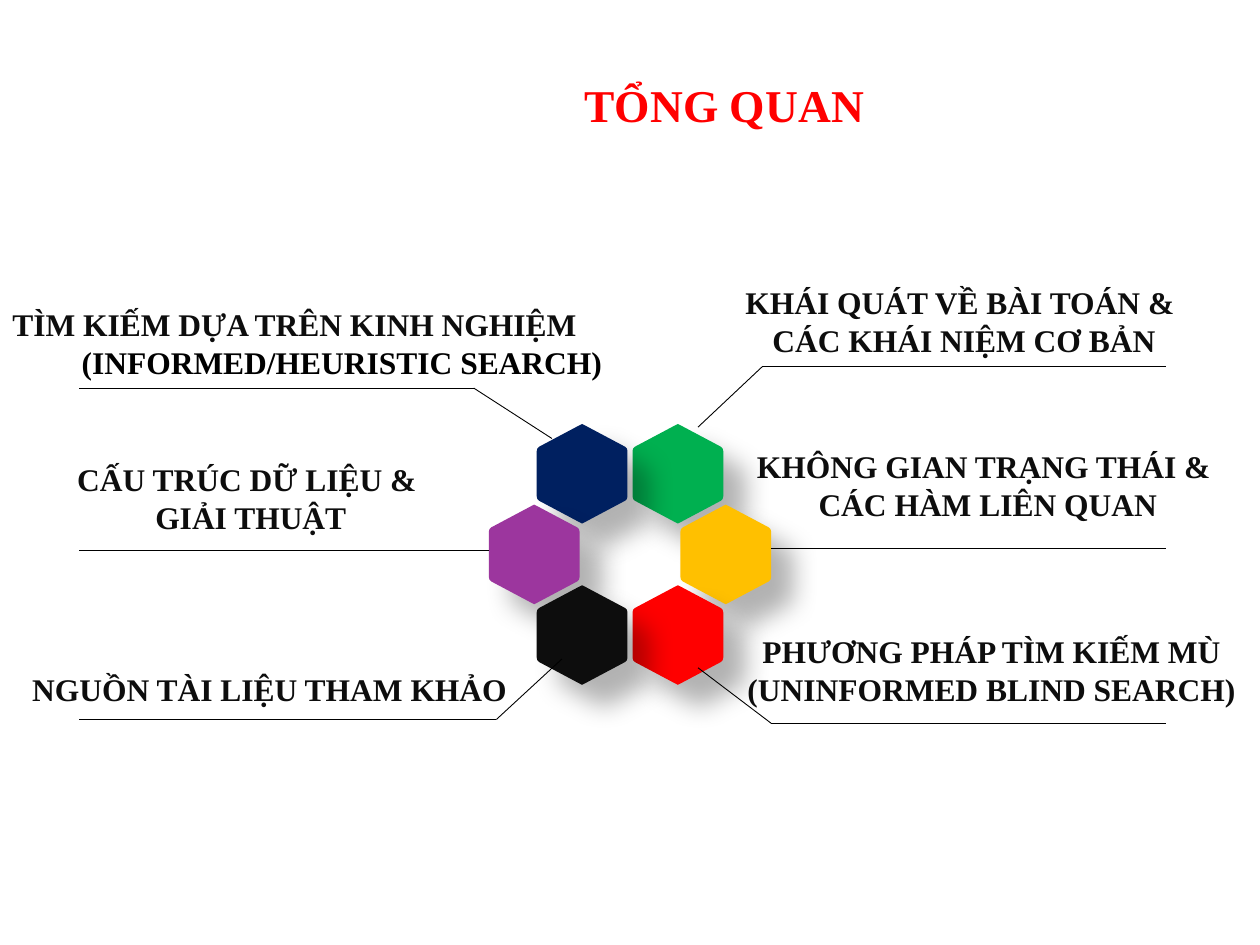
"""Build the overview slide: six hexagons with leader lines and labels."""
from dataclasses import dataclass

from lxml import etree
from pptx import Presentation
from pptx.dml.color import RGBColor
from pptx.enum.shapes import MSO_CONNECTOR
from pptx.enum.text import MSO_ANCHOR, MSO_AUTO_SIZE, PP_ALIGN
from pptx.oxml.ns import qn
from pptx.util import Inches, Pt

CENTER = PP_ALIGN.CENTER
LEFT = PP_ALIGN.LEFT
MIDDLE = MSO_ANCHOR.MIDDLE
GROW = MSO_AUTO_SIZE.SHAPE_TO_FIT_TEXT
STRAIGHT = MSO_CONNECTOR.STRAIGHT
TITLE_ONLY = 5

INK = "0D0D0D"
BLACK = "000000"
RED = "FF0000"
RING_X, RING_Y = 5, 4.4
HALF_STEP, ROW_STEP = 0.38, 0.64
QUARTER = ((0.36, 0.18), (0.355, 0.2), (0.34, 0.215), (0.02, 0.385), (0, 0.395))
SHADOW = {"blurRad": Pt(15), "dist": Pt(18), "dir": 45 * 60000, "algn": "tl", "rotWithShape": 0}


@dataclass
class Hexagon:
    """A ring cell, placed in half columns and rows from the ring's centre."""
    column: int
    row: int
    color: str


@dataclass
class Line:
    """One paragraph of a label."""
    text: str
    color: str = INK
    align: PP_ALIGN = CENTER
    indent: float = 0


@dataclass
class Label:
    """A text box with its paragraphs."""
    left: float
    top: float
    width: float
    height: float
    lines: tuple[Line, ...]


HEXAGONS = (
    Hexagon(1, -1, "00B050"),
    Hexagon(-1, -1, "002060"),
    Hexagon(-2, 0, "9C369E"),
    Hexagon(2, 0, "FFC000"),
    Hexagon(1, 1, RED),
    Hexagon(-1, 1, INK),
)

LEADERS = (
    ((5.54, 3.39), (6.05, 2.91), (9.25, 2.91)),
    ((6.12, 4.35), (9.25, 4.35)),
    ((4.46, 5.23), (3.94, 5.71), (0.63, 5.71)),
    ((3.88, 4.37), (0.63, 4.37)),
    ((5.54, 5.3), (6.12, 5.74), (9.25, 5.74)),
    ((4.38, 3.48), (3.76, 3.08), (0.63, 3.08)),
)

LABELS = (
    Label(5.79, 2.2, 3.72, 0.71, (Line("KHÁI QUÁT VỀ BÀI TOÁN & "), Line("CÁC KHÁI NIỆM CƠ BẢN"))),
    Label(5.34, 3.5, 5, 0.71, (Line("KHÔNG GIAN TRẠNG THÁI & "), Line("CÁC HÀM LIÊN QUAN"))),
    Label(5.37, 4.97, 5, 0.71, (Line("PHƯƠNG PHÁP TÌM KIẾM MÙ (UNINFORMED BLIND SEARCH)"),)),
    Label(0, 2.37, 5, 0.71, (
        Line("TÌM KIẾM DỰA TRÊN KINH NGHIỆM", align=LEFT),
        Line("(INFORMED/HEURISTIC SEARCH)", BLACK, LEFT, 0.55),
    )),
    Label(-0.54, 3.6, 5, 0.71, (Line("CẤU TRÚC DỮ LIỆU &"), Line(" GIẢI THUẬT"))),
    Label(-0.36, 5.27, 5, 0.4, (Line("NGUỒN TÀI LIỆU THAM KHẢO"),)),
)


def rgb(color: str) -> RGBColor:
    """Turn a hex string into a colour."""
    return RGBColor.from_string(color)


def write(para, text: str, size: float, color: str) -> None:
    """Add a bold span to a paragraph."""
    span = para.add_run()
    span.text = text
    for name, value in {"name": "Times New Roman", "size": Pt(size), "bold": True}.items():
        setattr(span.font, name, value)
    span.font.color.rgb = rgb(color)


def add_title(page, text: str) -> None:
    """Place and format the title placeholder."""
    title = page.shapes.title
    frame = {"left": 1.92, "top": 0.31, "width": 7.75, "height": 1.03}
    for name, value in frame.items():
        setattr(title, name, Inches(value))
    title.text_frame.vertical_anchor = MIDDLE
    para = title.text_frame.paragraphs[0]
    para.alignment = CENTER
    write(para, text, 26, RED)


def add_shadow(shape) -> None:
    """Give a shape a soft shadow to the lower right."""
    shape.shadow.inherit = False
    effects = shape.element.spPr.find(qn("a:effectLst"))
    outer = etree.SubElement(effects, qn("a:outerShdw"))
    for name, value in SHADOW.items():
        outer.set(name, str(value))
    color = etree.SubElement(outer, qn("a:srgbClr"), val=BLACK)
    etree.SubElement(color, qn("a:alpha"), val="30000")


def add_hexagon(shapes, hexagon: Hexagon) -> None:
    """Draw one hexagon with rounded corners."""
    center_x = RING_X + hexagon.column * HALF_STEP
    center_y = RING_Y + hexagon.row * ROW_STEP
    lower = QUARTER + tuple((-x, y) for x, y in QUARTER[-2::-1])
    outline = lower + tuple((-x, -y) for x, y in lower)
    points = [(Inches(center_x + x), Inches(center_y + y)) for x, y in outline]
    builder = shapes.build_freeform(*points[0])
    builder.add_line_segments(points[1:], close=True)
    shape = builder.convert_to_shape()
    shape.fill.solid()
    shape.fill.fore_color.rgb = rgb(hexagon.color)
    shape.line.fill.background()
    add_shadow(shape)


def add_leader(page, points: tuple) -> None:
    """Draw a leader, grouping its segments when it bends."""
    shapes = page.shapes.add_group_shape().shapes if len(points) > 2 else page.shapes
    for start, end in zip(points, points[1:]):
        ends = [Inches(value) for value in start + end]
        connector = shapes.add_connector(STRAIGHT, *ends)
        connector.line.color.rgb = rgb(BLACK)
        connector.line.width = Pt(0.5)
        etree.SubElement(connector.element.spPr, qn("a:effectLst"))


def add_label(page, label: Label) -> None:
    """Draw a label with one paragraph per line."""
    frame = (label.left, label.top, label.width, label.height)
    box = page.shapes.add_textbox(*[Inches(value) for value in frame])
    text_frame = box.text_frame
    for name, value in {"word_wrap": True, "auto_size": GROW}.items():
        setattr(text_frame, name, value)
    for index, line in enumerate(label.lines):
        para = text_frame.add_paragraph() if index else text_frame.paragraphs[0]
        para.alignment = line.align
        if line.indent:
            para._p.get_or_add_pPr().set("marL", str(Inches(line.indent)))
        write(para, line.text, 18, line.color)


def main() -> None:
    """Build and save the deck."""
    deck = Presentation()
    deck.slide_width, deck.slide_height = Inches(10), Inches(7.5)
    page = deck.slides.add_slide(deck.slide_layouts[TITLE_ONLY])
    add_title(page, "TỔNG QUAN ")
    ring = page.shapes.add_group_shape()
    for hexagon in HEXAGONS:
        add_hexagon(ring.shapes, hexagon)
    for points in LEADERS:
        add_leader(page, points)
    for label in LABELS:
        add_label(page, label)
    deck.save("out.pptx")


if __name__ == "__main__":
    main()
